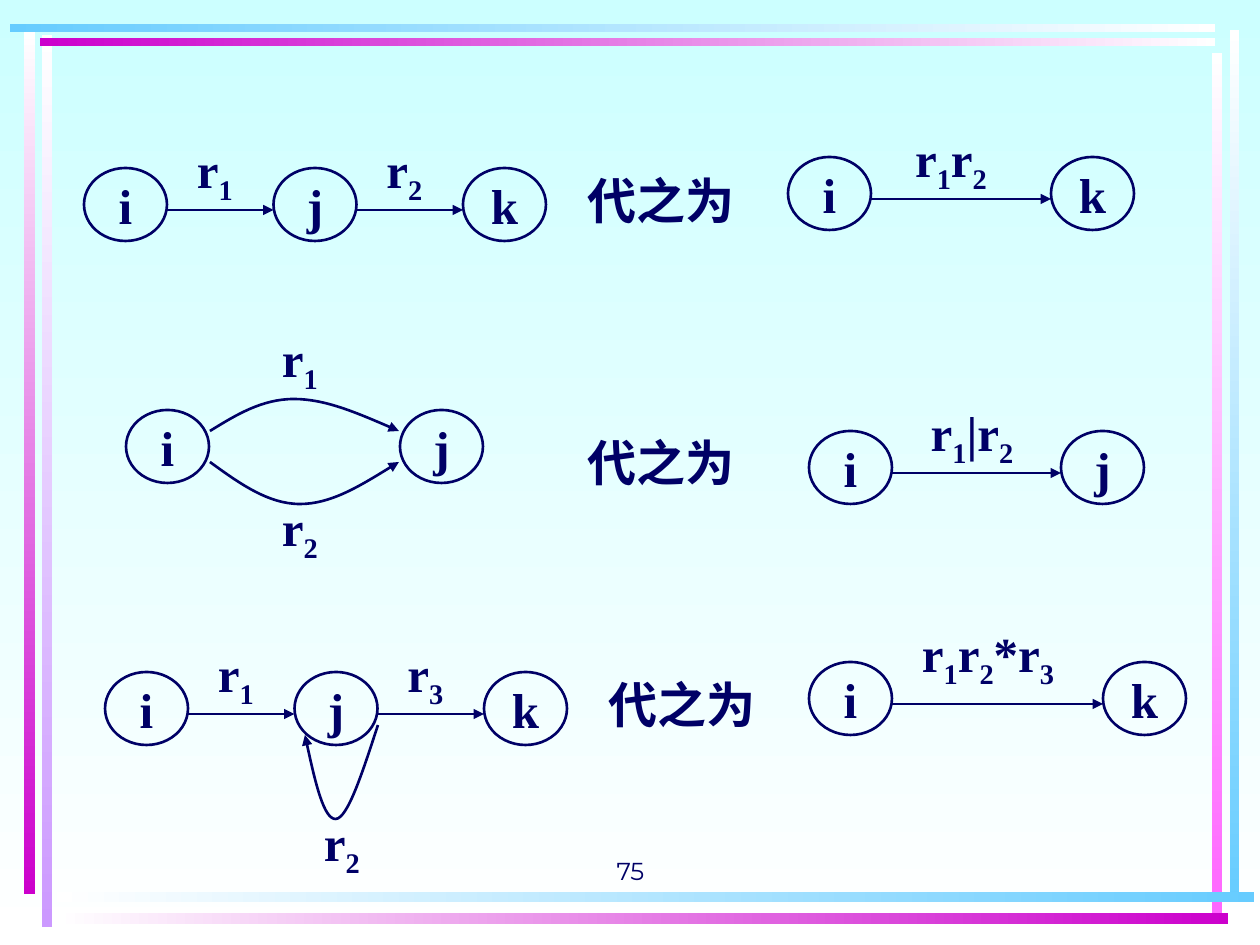
import itertools

import lxml.etree
import pptx
import pptx.dml.color
import pptx.enum.shapes
import pptx.enum.text
import pptx.oxml.ns
import pptx.util

SCALE = 914400 / 126
NODE_WIDTH, NODE_HEIGHT = 83, 73
LABEL_WIDTH, LABEL_HEIGHT = 116, 73
COLORS = {
    "ink": "000066",
    "white": "FFFFFF",
    "sky": "CCFFFF",
    "blue": "66CCFF",
    "magenta": "CC00CC",
    "pink": "FF66FF",
    "lilac": "CC99FF",
}


def emu(*lengths):
    return [pptx.util.Emu(round(length * SCALE)) for length in lengths]


def color(name):
    return pptx.dml.color.RGBColor.from_string(COLORS[name])


def fill_gradient(fill, first, last, angle):
    fill.gradient()
    fill.gradient_angle = angle
    for stop, name in zip(fill.gradient_stops, (first, last)):
        stop.color.rgb = color(name)


def style_line(shape, arrow=False):
    shape.line.color.rgb = color("ink")
    shape.line.width = pptx.util.Pt(1.5)
    if arrow:
        line = shape.line._get_or_add_ln()
        tail = lxml.etree.SubElement(line, pptx.oxml.ns.qn("a:tailEnd"))
        tail.set("type", "triangle")


def write_text(shape, text, size=28, font="Times New Roman", bold=True, subscripts=False):
    frame = shape.text_frame
    frame.word_wrap = False
    frame.margin_left = frame.margin_right = 0
    frame.vertical_anchor = pptx.enum.text.MSO_ANCHOR.MIDDLE
    para = frame.paragraphs[0]
    para.alignment = pptx.enum.text.PP_ALIGN.CENTER
    for is_digit, letters in itertools.groupby(text, str.isdigit):
        span = para.add_run()
        span.text = "".join(letters)
        span.font.size = pptx.util.Pt(size)
        span.font.name = font
        span.font.bold = bold
        span.font.color.rgb = color("ink")
        if subscripts and is_digit:
            span._r.get_or_add_rPr().set("baseline", "-25000")


def add_label(page, left, top, text, width=LABEL_WIDTH):
    label = page.shapes.add_textbox(*emu(left, top, width, LABEL_HEIGHT))
    write_text(label, text, subscripts=True)


def add_node(page, left, top, name):
    kind = pptx.enum.shapes.MSO_SHAPE.OVAL
    node = page.shapes.add_shape(kind, *emu(left, top, NODE_WIDTH, NODE_HEIGHT))
    node.shadow.inherit = False
    node.fill.background()
    style_line(node)
    write_text(node, name)


def add_arrow(page, start, end, top):
    kind = pptx.enum.shapes.MSO_CONNECTOR.STRAIGHT
    arrow = page.shapes.add_connector(kind, *emu(start, top, end, top))
    style_line(arrow, arrow=True)
    lxml.etree.SubElement(arrow._element.spPr, pptx.oxml.ns.qn("a:effectLst"))


def add_curve(page, box, points):
    left, top = box[:2]
    corners = [emu(left + x, top + y) for x, y in points]
    builder = page.shapes.build_freeform(*corners[0])
    builder.add_line_segments(corners[1:], close=False)
    curve = builder.convert_to_shape()
    curve.shadow.inherit = False
    curve.fill.background()
    style_line(curve, arrow=True)
    steps = curve._element.xpath(".//a:lnTo")
    for index in range(0, len(steps), 3):
        bend = lxml.etree.Element(pptx.oxml.ns.qn("a:cubicBezTo"))
        steps[index].addprevious(bend)
        for step in steps[index:index + 3]:
            bend.append(step[0])
            step.getparent().remove(step)


def add_chain(page, box, nodes, labels, label_left=73, label_top=-32, label_width=LABEL_WIDTH):
    left, top, width, _ = box
    pitch = (width - NODE_WIDTH) / (len(nodes) - 1)
    for index, name in enumerate(nodes):
        add_node(page, left + index * pitch, top, name)
    for index, text in enumerate(labels):
        start = left + index * pitch
        add_arrow(page, start + NODE_WIDTH, start + pitch, top + 42)
        add_label(page, start + label_left, top + label_top, text, label_width)


def add_branches(page, box):
    left, top, width, height = box
    add_node(page, left, top + 85, "i")
    add_node(page, left + width - NODE_WIDTH, top + 85, "j")
    add_curve(page, box, [(84, 106), (110, 90), (136, 74), (168, 74),
                          (199, 74), (236, 90), (273, 106)])
    add_curve(page, box, [(84, 137), (113, 158), (142, 179), (174, 179),
                          (205, 179), (239, 158), (273, 137)])
    add_label(page, left + 116, top, "r1")
    add_label(page, left + 116, top + height - LABEL_HEIGHT, "r2")


def add_loop_chain(page, box):
    left, top, _, height = box
    add_chain(page, box, "ijk", ["r1", "r3"])
    add_curve(page, box, [(273, 53), (258, 99), (243, 146), (231, 147),
                          (219, 148), (209, 105), (200, 63)])
    add_label(page, left + 179, top + height - LABEL_HEIGHT, "r2")


def add_caption(page, box):
    caption = page.shapes.add_textbox(*emu(*box))
    write_text(caption, "代之为")


def add_page_number(page, box):
    number = page.shapes.add_textbox(*emu(*box))
    write_text(number, "75", 14, "Montserrat", False)
    number.text_frame.word_wrap = True
    number.text_frame.vertical_anchor = pptx.enum.text.MSO_ANCHOR.BOTTOM


def add_border(page, bars):
    for box, first, last in bars:
        kind = pptx.enum.shapes.MSO_SHAPE.RECTANGLE
        bar = page.shapes.add_shape(kind, *emu(*box))
        bar.shadow.inherit = False
        bar.line.fill.background()
        fill_gradient(bar.fill, first, last, 0 if box[2] > box[3] else 270)


def main():
    deck = pptx.Presentation()
    deck.slide_width, deck.slide_height = emu(1260, 945)
    page = deck.slides.add_slide(deck.slide_layouts[6])
    fill_gradient(page.background.fill, "sky", "white", 270)
    add_border(page, [
        ((42, 35, 10, 892), "white", "lilac"),
        ((24, 32, 11, 862), "white", "magenta"),
        ((1230, 30, 9, 872), "white", "blue"),
        ((1212, 53, 10, 861), "white", "pink"),
        ((57, 892, 1197, 10), "white", "blue"),
        ((57, 913, 1171, 11), "white", "magenta"),
        ((40, 38, 1175, 8), "magenta", "white"),
        ((10, 24, 1205, 8), "blue", "white"),
    ])
    add_page_number(page, (431, 829, 399, 63))

    add_caption(page, (571, 158, 180, 84))
    add_chain(page, (84, 168, 462, 73), "ijk", ["r1", "r2"])
    add_chain(page, (788, 157, 346, 73), "ik", ["r1r2"], 105)

    add_caption(page, (571, 420, 180, 84))
    add_branches(page, (126, 325, 357, 242))
    add_chain(page, (809, 431, 335, 73), "ij", ["r1|r2"], 105)

    add_caption(page, (592, 662, 180, 84))
    add_loop_chain(page, (105, 672, 462, 210))
    add_chain(page, (809, 662, 377, 73), "ik", ["r1r2*r3"], 95, -42, 168)

    deck.save("out.pptx")


if __name__ == "__main__":
    main()
